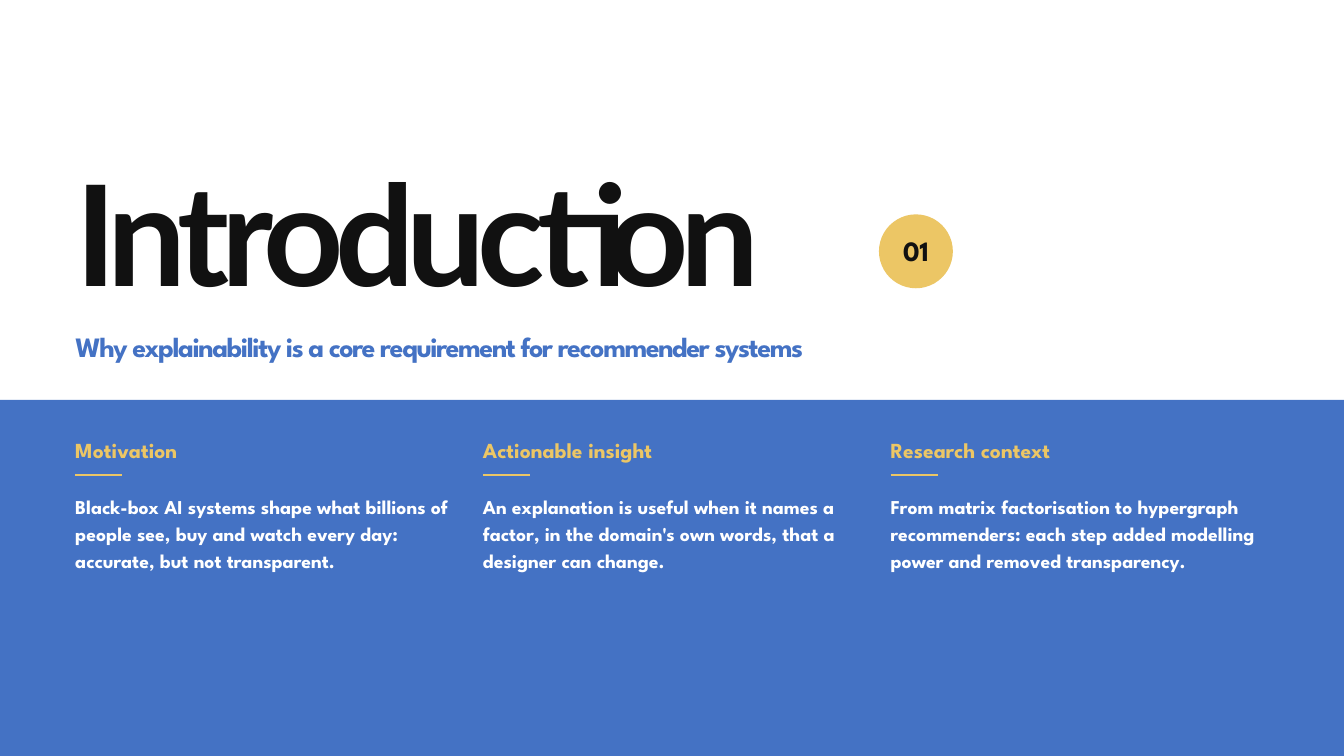
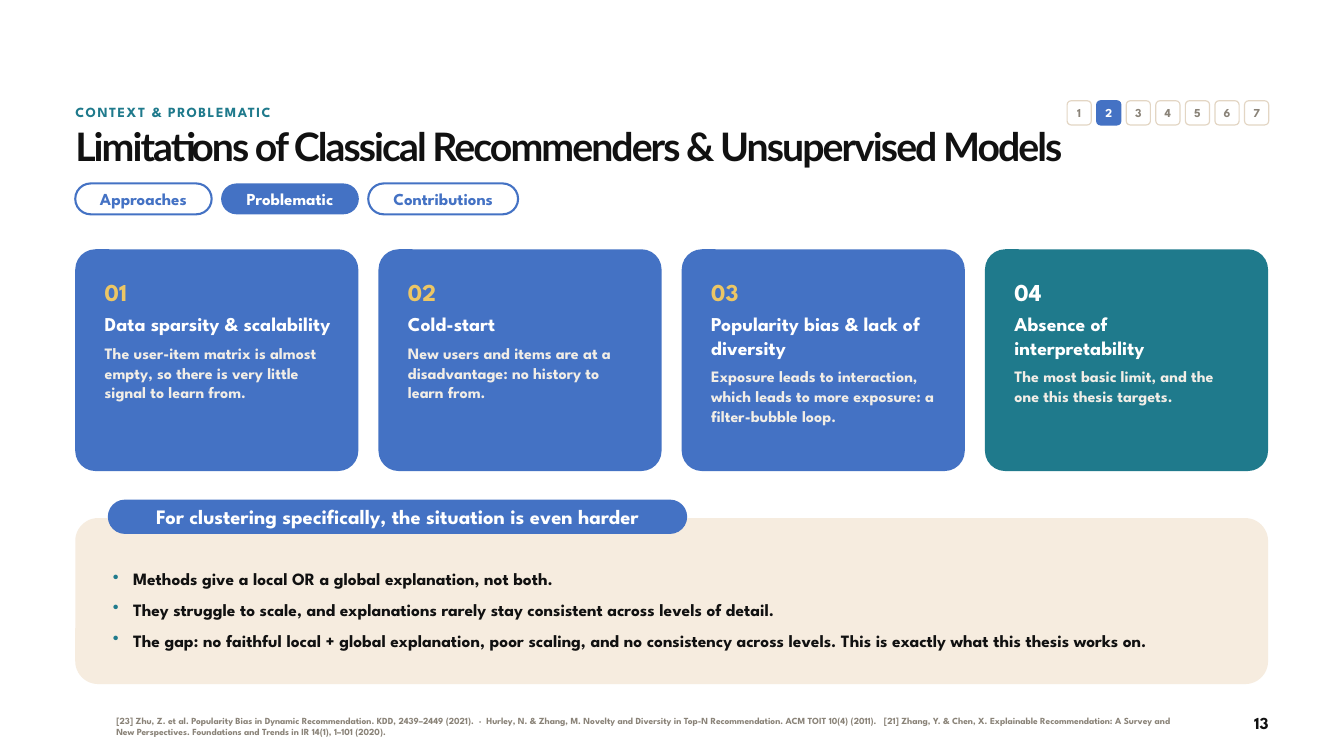
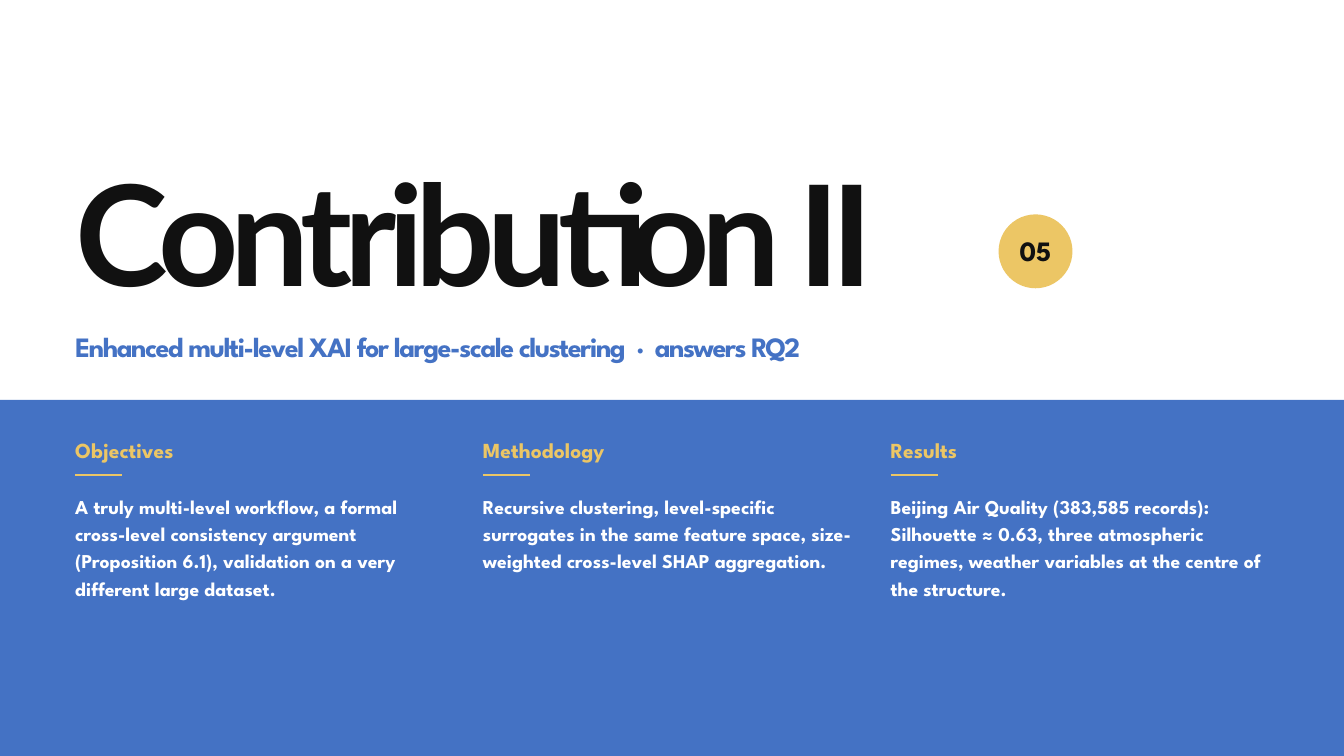
from dataclasses import dataclass, replace

from lxml.etree import SubElement
from pptx import Presentation
from pptx.dml.color import RGBColor
from pptx.enum.shapes import MSO_CONNECTOR, MSO_SHAPE
from pptx.enum.text import MSO_ANCHOR, PP_ALIGN
from pptx.oxml.ns import qn
from pptx.util import Inches, Pt

BLUE = RGBColor(0x44, 0x72, 0xC4)
TEAL = RGBColor(0x1F, 0x7A, 0x8C)
GOLD = RGBColor(0xEC, 0xC6, 0x65)
INK = RGBColor(0x11, 0x11, 0x11)
GREY = RGBColor(0x8A, 0x83, 0x78)
SAND = RGBColor(0xF6, 0xEC, 0xDF)
SAND_LINE = RGBColor(0xE3, 0xD6, 0xC4)
PALE = RGBColor(0xF1, 0xED, 0xE6)
WHITE = RGBColor(0xFF, 0xFF, 0xFF)

PAGE_WIDTH, PAGE_HEIGHT = 20, 11.25
MARGIN = 1.12
CONTENT_WIDTH = 17.75
NO_INSETS = (0, 0, 0, 0)
PILL_INSETS = (0.05, 0, 0.05, 0)
CARD_INSETS = (0.35, 0.35, 0.3, 0.25)


@dataclass(frozen=True)
class Style:
    """Paragraph look; sizes, leading, tracking and space before in points."""
    size: float
    color: RGBColor
    leading: float
    font: str = "League Spartan"
    tracking: float = 0
    align: PP_ALIGN = PP_ALIGN.LEFT
    before: float = 0
    bullet: bool = False


SECTION_TITLE = Style(150, INK, 153, font="Lato", tracking=-8.7)
SECTION_SUBTITLE = Style(30, BLUE, 38, tracking=-1.5)
BADGE = Style(30, INK, 34, align=PP_ALIGN.CENTER)
COLUMN_HEADING = Style(23, GOLD, 28)
COLUMN_BODY = Style(21, WHITE, 29.4)
KICKER = Style(15, TEAL, 20, tracking=1.6)
SLIDE_TITLE = Style(42, INK, 46.2, font="Lato", tracking=-2.1)
STEP = Style(13, GREY, 15, align=PP_ALIGN.CENTER)
TAB = Style(18, BLUE, 21.6, align=PP_ALIGN.CENTER)
CARD_NUMBER = Style(26, GOLD, 30)
CARD_HEADING = Style(21, WHITE, 25, before=6)
CARD_BODY = Style(17, PALE, 21, before=8)
PANEL_HEADING = Style(22, WHITE, 26.4, align=PP_ALIGN.CENTER)
PANEL_BULLET = Style(18.5, INK, 25.9, before=7, bullet=True)
REFERENCES = Style(10, GREY, 12)
PAGE_NUMBER = Style(18, INK, 22, align=PP_ALIGN.RIGHT)


def add_bullet(paragraph):
    properties = paragraph._p.get_or_add_pPr()
    properties.set("marL", str(Inches(0.3)))
    properties.set("indent", str(-Inches(0.3)))
    color = SubElement(properties, qn("a:buClr"))
    SubElement(color, qn("a:srgbClr"), val=str(TEAL))
    SubElement(properties, qn("a:buChar"), char="•")


def write(shape, paragraphs, insets=NO_INSETS, anchor=MSO_ANCHOR.TOP):
    """Fill a shape with (text, style) pairs, one paragraph each."""
    frame = shape.text_frame
    frame.word_wrap = True
    frame.vertical_anchor = anchor
    (frame.margin_left, frame.margin_top,
     frame.margin_right, frame.margin_bottom) = map(Inches, insets)
    for index, (text, style) in enumerate(paragraphs):
        para = frame.add_paragraph() if index else frame.paragraphs[0]
        para.text = text
        if style.bullet:
            add_bullet(para)
        para.alignment = style.align
        para.line_spacing = Pt(style.leading)
        if index and style.before:
            para.space_before = Pt(style.before)
        font = para.font
        font.name, font.size, font.bold = style.font, Pt(style.size), True
        font.color.rgb = style.color
        if style.tracking:
            font._element.set("spc", str(round(style.tracking * 100)))


def add_text(page, left, top, width, height, text, style, anchor=MSO_ANCHOR.TOP):
    box = page.shapes.add_textbox(*map(Inches, (left, top, width, height)))
    write(box, [(text, style)], anchor=anchor)


def add_block(page, kind, left, top, width, height, fill=None, line=None,
              line_width=2.25, radius=None):
    """Add a flat preset shape; radius is its corner radius in inches."""
    block = page.shapes.add_shape(kind, *map(Inches, (left, top, width, height)))
    block.shadow.inherit = False
    if radius is not None:
        block.adjustments[0] = radius / min(width, height)
    if fill is None:
        block.fill.background()
    else:
        block.fill.solid()
        block.fill.fore_color.rgb = fill
    if line is None:
        block.line.fill.background()
    else:
        block.line.color.rgb = line
        block.line.width = Pt(line_width)
    return block


def add_rounded(page, *place, **look):
    return add_block(page, MSO_SHAPE.ROUNDED_RECTANGLE, *place, **look)


def add_pill(page, left, top, width, height, text, style, fill=None, line=None):
    pill = add_rounded(page, left, top, width, height, fill=fill, line=line,
                       radius=height / 2)
    write(pill, [(text, style)], PILL_INSETS, MSO_ANCHOR.MIDDLE)


def add_rule(page, left, top, width):
    rule = page.shapes.add_connector(
        MSO_CONNECTOR.STRAIGHT, *map(Inches, (left, top, left + width, top)))
    rule.line.color.rgb = GOLD
    rule.line.width = Pt(2.5)
    SubElement(rule._element.spPr, qn("a:effectLst"))


def add_page(deck):
    return deck.slides.add_slide(deck.slide_layouts[6])


def add_section(deck, title, number, badge_left, subtitle, columns):
    """Add a section opener with three columns on a blue band."""
    page = add_page(deck)
    add_text(page, MARGIN, 2.55, 16.25, 2.5, title, SECTION_TITLE)
    badge = add_block(page, MSO_SHAPE.OVAL, badge_left, 3.19, 1.1, 1.1, fill=GOLD)
    write(badge, [(number, BADGE)], anchor=MSO_ANCHOR.MIDDLE)
    add_text(page, MARGIN, 4.88, CONTENT_WIDTH, 0.7, subtitle, SECTION_SUBTITLE)
    band_top = 5.95
    add_block(page, MSO_SHAPE.RECTANGLE, 0, band_top, PAGE_WIDTH,
              PAGE_HEIGHT - band_top, fill=BLUE)
    gap = 0.45
    width = (CONTENT_WIDTH - gap * (len(columns) - 1)) / len(columns)
    for index, (heading, body) in enumerate(columns):
        left = MARGIN + index * (width + gap)
        add_text(page, left, 6.5, width, 0.5, heading, COLUMN_HEADING)
        add_rule(page, left, 7.07, 0.7)
        add_text(page, left, 7.3, width, 3.4, body, COLUMN_BODY)


def add_footer(page, references, number):
    add_text(page, 1.73, 10.5, 15.85, 0.62, references, REFERENCES, MSO_ANCHOR.MIDDLE)
    add_text(page, 17.68, 10.6, 1.2, 0.36, number, PAGE_NUMBER)


def add_steps(page, count, current):
    for step in range(1, count + 1):
        active = step == current
        square = add_rounded(page, 15.88 + 0.44 * (step - 1), 1.5, 0.36, 0.36,
                             fill=BLUE if active else WHITE,
                             line=BLUE if active else SAND_LINE,
                             line_width=1.25, radius=0.06)
        style = replace(STEP, color=WHITE) if active else STEP
        write(square, [(str(step), style)], anchor=MSO_ANCHOR.MIDDLE)


def add_tabs(page, tabs, current):
    left = MARGIN
    for label, width in tabs:
        if label == current:
            add_pill(page, left, 2.73, width, 0.46, label,
                     replace(TAB, color=WHITE), fill=BLUE)
        else:
            add_pill(page, left, 2.73, width, 0.46, label, TAB, line=BLUE)
        left += width + 0.14


def add_cards(page, cards):
    """Add a row of numbered cards, the last one highlighted in teal."""
    gap = 0.3
    width = (CONTENT_WIDTH - gap * (len(cards) - 1)) / len(cards)
    for index, (heading, body) in enumerate(cards):
        last = index == len(cards) - 1
        card = add_rounded(page, MARGIN + index * (width + gap), 3.71, width, 3.3,
                           fill=TEAL if last else BLUE, radius=0.3)
        number_style = replace(CARD_NUMBER, color=WHITE) if last else CARD_NUMBER
        write(card, [(f"{index + 1:02}", number_style), (heading, CARD_HEADING),
                     (body, CARD_BODY)], CARD_INSETS)


def add_panel(page, heading, points):
    add_rounded(page, MARGIN, 7.71, CONTENT_WIDTH, 2.47, fill=SAND, radius=0.34)
    add_pill(page, 1.62, 7.45, 8.59, 0.48, heading, PANEL_HEADING, fill=BLUE, line=BLUE)
    box = page.shapes.add_textbox(*map(Inches, (1.68, 8.41, 16.7, 1.47)))
    write(box, [(point, PANEL_BULLET) for point in points])


def add_limitations(deck):
    page = add_page(deck)
    add_footer(
        page,
        "[23] Zhu, Z. et al. Popularity Bias in Dynamic Recommendation. KDD, 2439–2449 "
        "(2021).  ·  Hurley, N. & Zhang, M. Novelty and Diversity in Top-N "
        "Recommendation. ACM TOIT 10(4) (2011).   [21] Zhang, Y. & Chen, X. Explainable "
        "Recommendation: A Survey and New Perspectives. Foundations and Trends in IR "
        "14(1), 1–101 (2020).",
        "13")
    add_text(page, MARGIN, 1.52, 14.15, 0.36, "CONTEXT & PROBLEMATIC", KICKER)
    add_steps(page, 7, current=2)
    add_text(page, MARGIN, 1.88, CONTENT_WIDTH, 0.73,
             "Limitations of Classical Recommenders & Unsupervised Models", SLIDE_TITLE)
    add_tabs(page, [("Approaches", 2.03), ("Problematic", 2.05),
                    ("Contributions", 2.23)], current="Problematic")
    add_cards(page, [
        ("Data sparsity & scalability",
         "The user-item matrix is almost empty, so there is very little signal to "
         "learn from."),
        ("Cold-start",
         "New users and items are at a disadvantage: no history to learn from."),
        ("Popularity bias & lack of diversity",
         "Exposure leads to interaction, which leads to more exposure: a "
         "filter-bubble loop."),
        ("Absence of interpretability",
         "The most basic limit, and the one this thesis targets."),
    ])
    add_panel(page, "For clustering specifically, the situation is even harder", [
        "Methods give a local OR a global explanation, not both.",
        "They struggle to scale, and explanations rarely stay consistent across levels "
        "of detail.",
        "The gap: no faithful local + global explanation, poor scaling, and no "
        "consistency across levels. This is exactly what this thesis works on.",
    ])


def main():
    deck = Presentation()
    deck.slide_width, deck.slide_height = Inches(PAGE_WIDTH), Inches(PAGE_HEIGHT)
    add_section(
        deck, "Introduction", "01", 13.08,
        "Why explainability is a core requirement for recommender systems",
        [("Motivation",
          "Black-box AI systems shape what billions of people see, buy and watch every "
          "day: accurate, but not transparent."),
         ("Actionable insight",
          "An explanation is useful when it names a factor, in the domain's own words, "
          "that a designer can change."),
         ("Research context",
          "From matrix factorisation to hypergraph recommenders: each step added "
          "modelling power and removed transparency.")])
    add_limitations(deck)
    add_section(
        deck, "Contribution II", "05", 14.86,
        "Enhanced multi-level XAI for large-scale clustering  ·  answers RQ2",
        [("Objectives",
          "A truly multi-level workflow, a formal cross-level consistency argument "
          "(Proposition 6.1), validation on a very different large dataset."),
         ("Methodology",
          "Recursive clustering, level-specific surrogates in the same feature space, "
          "size-weighted cross-level SHAP aggregation."),
         ("Results",
          "Beijing Air Quality (383,585 records): Silhouette ≈ 0.63, three atmospheric "
          "regimes, weather variables at the centre of the structure.")])
    deck.save("out.pptx")


if __name__ == "__main__":
    main()
